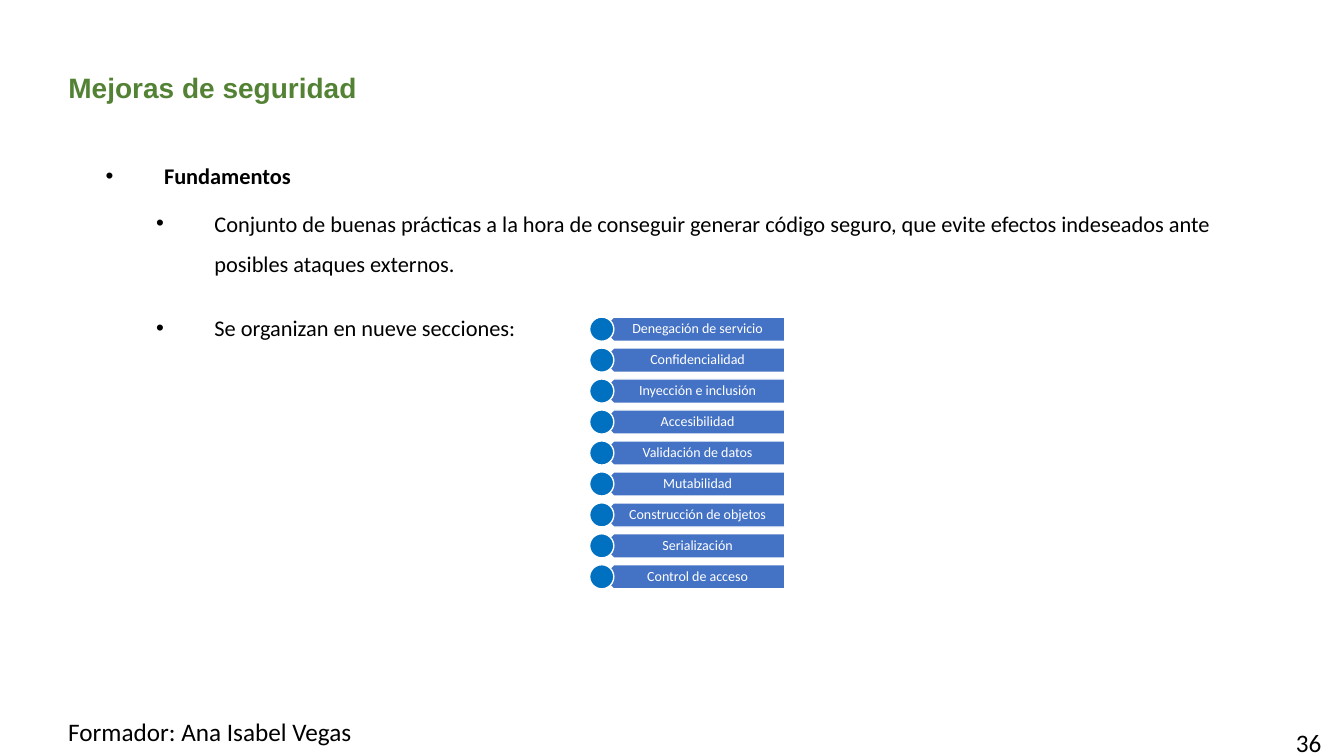
from dataclasses import dataclass

from lxml.etree import SubElement
from pptx import Presentation
from pptx.dml.color import RGBColor
from pptx.enum.shapes import MSO_SHAPE
from pptx.enum.text import MSO_ANCHOR, MSO_AUTO_SIZE, PP_ALIGN
from pptx.oxml.ns import qn
from pptx.util import Cm, Pt

BLACK, WHITE = "000000", "FFFFFF"
GREEN, BAR_BLUE, DOT_BLUE = "548235", "4472C4", "0070C0"
ROW_TOP, ROW_PITCH, ROW_H = 7.99, 0.78, 0.61


@dataclass
class Bullet:
    text: str
    level: int
    margin: float
    bold: bool = False
    before: float = 5
    after: float = 0


@dataclass
class Section:
    text: str
    marker: MSO_SHAPE = MSO_SHAPE.OVAL


BULLETS = [
    Bullet("Fundamentos", 3, 1.47, bold=True, before=0),
    Bullet("Conjunto de buenas prácticas a la hora de conseguir generar código seguro, "
           "que evite efectos indeseados ante posibles ataques externos.", 4, 2.74, after=12),
    Bullet("Se organizan en nueve secciones:", 4, 2.74, after=12),
]
SECTIONS = [
    Section("Denegación de servicio"),
    Section("Confidencialidad"),
    Section("Inyección e inclusión"),
    Section("Accesibilidad"),
    Section("Validación de datos", MSO_SHAPE.FLOWCHART_CONNECTOR),
    Section("Mutabilidad"),
    Section("Construcción de objetos"),
    Section("Serialización"),
    Section("Control de acceso"),
]


def rgb(value: str) -> RGBColor:
    return RGBColor.from_string(value)


def place(sp, left: float, top: float, width: float, height: float) -> None:
    sp.left, sp.top, sp.width, sp.height = Cm(left), Cm(top), Cm(width), Cm(height)


def write(p, text: str, *, size: float = 18, color: str = BLACK, font: str = "Calibri",
          bold: bool = False, align=PP_ALIGN.LEFT, spacing: float = 1.0,
          before: float = 0, after: float = 0) -> None:
    p.alignment, p.line_spacing = align, spacing
    p.space_before, p.space_after = Pt(before), Pt(after)
    r = p.add_run()
    r.text = text
    r.font.name, r.font.size, r.font.bold = font, Pt(size), bold
    r.font.color.rgb = rgb(color)


def add_bullet(p, margin: float) -> None:
    pPr = p._p.get_or_add_pPr()
    pPr.set("marL", str(Cm(margin)))
    pPr.set("indent", str(-Cm(1.47)))
    SubElement(pPr, qn("a:buFont"), typeface="Arial")
    SubElement(pPr, qn("a:buChar"), char="•")


def add_text(shapes, text: str, left: float, top: float, width: float, height: float,
             **fmt):
    sp = shapes.add_textbox(Cm(left), Cm(top), Cm(width), Cm(height))
    sp.text_frame.word_wrap = True
    write(sp.text_frame.paragraphs[0], text, **fmt)
    return sp


def add_preset(shapes, kind: MSO_SHAPE, left: float, top: float, width: float,
               fill: str, rotation: float = 0) -> None:
    sp = shapes.add_shape(kind, Cm(left), Cm(top), Cm(width), Cm(ROW_H))
    sp.shadow.inherit = False
    sp.fill.solid()
    sp.fill.fore_color.rgb = rgb(fill)
    sp.line.color.rgb = rgb(WHITE)
    sp.line.width = Pt(1)
    sp.rotation = rotation


def add_section(shapes, section: Section, top: float) -> None:
    add_preset(shapes, MSO_SHAPE.PENTAGON, 15.16, top, 4.62, BAR_BLUE, rotation=180)
    label = add_text(shapes, section.text, 15.32, top, 4.47, ROW_H, size=10,
                     color=WHITE, align=PP_ALIGN.CENTER, spacing=0.9)
    tf = label.text_frame
    tf.vertical_anchor = MSO_ANCHOR.MIDDLE
    tf.margin_left, tf.margin_right = Cm(0.25), Cm(0.2)
    tf.margin_top = tf.margin_bottom = Cm(0.1)
    add_preset(shapes, section.marker, 14.86, top, ROW_H, DOT_BLUE)


def main() -> None:
    prs = Presentation()
    prs.slide_width, prs.slide_height = Cm(33.87), Cm(19.05)
    s = prs.slides.add_slide(prs.slide_layouts[1])

    # Title and body placeholders
    title, body = s.shapes.title, s.placeholders[1]
    place(title, 1.47, 1.75, 30.66, 1.19)
    place(body, 2.41, 3.63, 28.75, 12.9)
    for sp in (title, body):
        sp.text_frame.auto_size = MSO_AUTO_SIZE.NONE
        sp.text_frame.vertical_anchor = MSO_ANCHOR.TOP
    write(title.text_frame.paragraphs[0], "Mejoras de seguridad", size=20,
          color=GREEN, font="Arial", bold=True, spacing=0.9)

    # Bulleted list
    tf = body.text_frame
    for i, b in enumerate(BULLETS):
        p = tf.add_paragraph() if i else tf.paragraphs[0]
        p.level = b.level
        add_bullet(p, b.margin)
        write(p, b.text, size=16, bold=b.bold, spacing=1.5,
              before=b.before, after=b.after)

    # Nine sections
    group = s.shapes.add_group_shape()
    for i, section in enumerate(SECTIONS):
        add_section(group.shapes, section, ROW_TOP + i * ROW_PITCH)

    # Footer
    add_text(s.shapes, "Formador: Ana Isabel Vegas", 1.47, 17.93, 10.72, 1.02)
    add_text(s.shapes, "36", 32.41, 18.21, 1.35, 1.02)

    prs.save("out.pptx")


if __name__ == "__main__":
    main()
